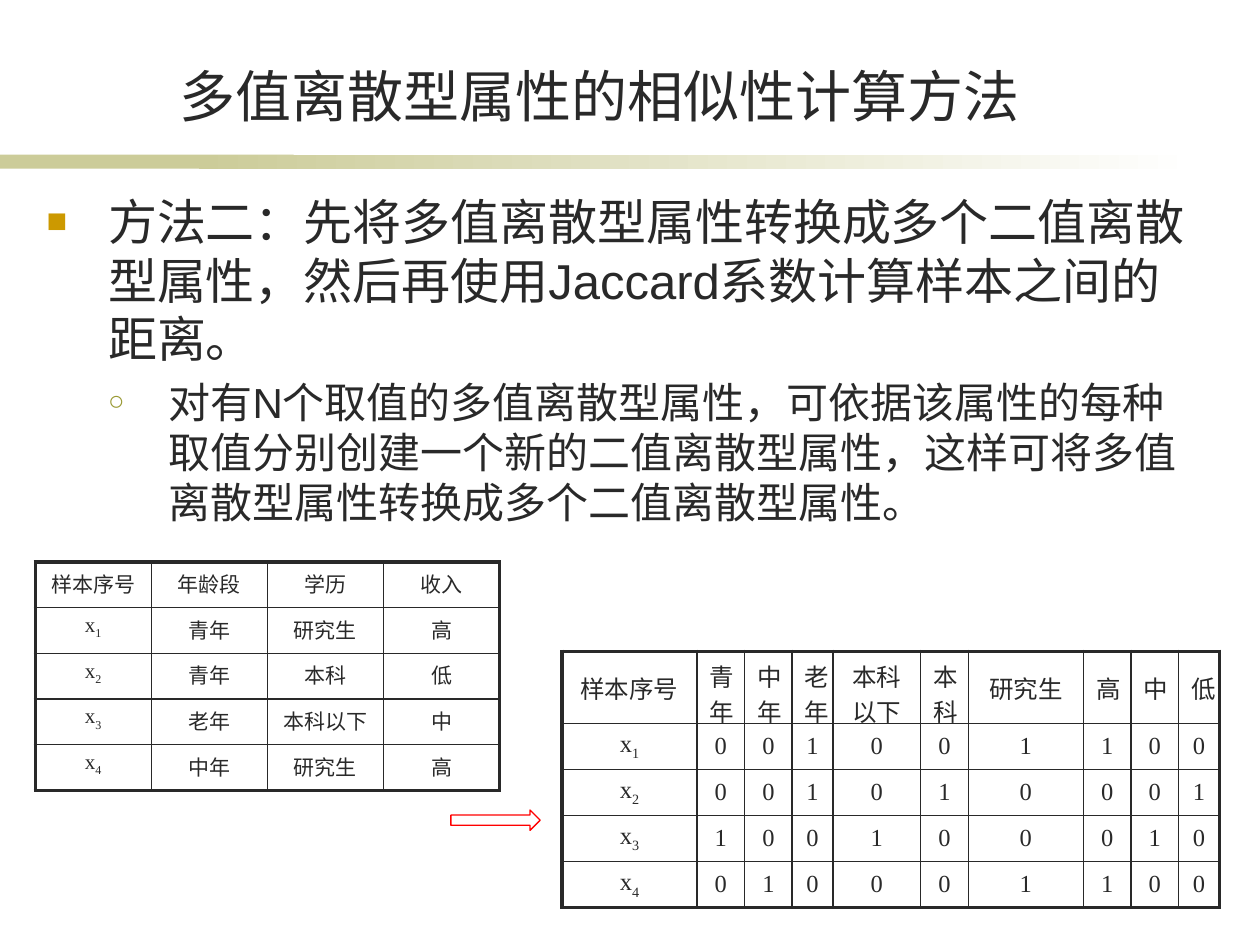
from lxml import etree
from pptx import Presentation
from pptx.dml.color import RGBColor
from pptx.enum.shapes import MSO_SHAPE
from pptx.enum.text import MSO_ANCHOR, PP_ALIGN
from pptx.oxml.ns import qn
from pptx.util import Cm, Pt

RECTANGLE, RIGHT_ARROW = MSO_SHAPE.RECTANGLE, MSO_SHAPE.RIGHT_ARROW
CENTER = PP_ALIGN.CENTER
TOP, MIDDLE, BOTTOM = MSO_ANCHOR.TOP, MSO_ANCHOR.MIDDLE, MSO_ANCHOR.BOTTOM

INK = RGBColor(0x29, 0x29, 0x29)
WHITE = RGBColor(0xFF, 0xFF, 0xFF)
RED = RGBColor(0xFF, 0x00, 0x00)
SAGE = RGBColor(0xCC, 0xCC, 0x99)
GOLD = RGBColor(0xCC, 0x99, 0x00)
OLIVE = RGBColor(0x99, 0x99, 0x33)

SERIF, SANS = "Times New Roman", "Arial"
OUTER_BORDER, INNER_BORDER = Pt(2.25), Pt(1)

TITLE = "多值离散型属性的相似性计算方法"
METHOD = ("方法二：先将多值离散型属性转换成多个二值离散型属性，"
          "然后再使用Jaccard系数计算样本之间的距离。")
EXPLANATION = ("对有N个取值的多值离散型属性，可依据该属性的每种取值分别创建一个"
               "新的二值离散型属性，这样可将多值离散型属性转换成多个二值离散型属性。")

MULTI_VALUED = [
    ["样本序号", "年龄段", "学历", "收入"],
    ["x1", "青年", "研究生", "高"],
    ["x2", "青年", "本科", "低"],
    ["x3", "老年", "本科以下", "中"],
    ["x4", "中年", "研究生", "高"],
]
BINARY = [
    ["样本序号", "青年", "中年", "老年", "本科以下", "本科", "研究生", "高", "中", "低"],
    ["x1", *"001001100"],
    ["x2", *"001010001"],
    ["x3", *"100100010"],
    ["x4", *"010001100"],
]


def set_font(paragraph, name, size):
    font = paragraph.font
    font.name, font.size = name, Pt(size)
    font.color.rgb = INK


def add_divider(slide, left, top, width, height):
    """Solid band whose right part fades to white."""
    solid_width, fade_left = Cm(5.92), Cm(4.01)
    fade_width = width - fade_left
    solid = slide.shapes.add_shape(RECTANGLE, left, top, solid_width, height)
    solid.fill.solid()
    solid.fill.fore_color.rgb = SAGE
    fade = slide.shapes.add_shape(RECTANGLE, left + fade_left, top, fade_width, height)
    fade.fill.gradient()
    fade.fill.gradient_angle = 0
    for stop, position, color in zip(fade.fill.gradient_stops, (0, 1), (SAGE, WHITE)):
        stop.position, stop.color.rgb = position, color
    for band in (solid, fade):
        band.line.fill.background()
        band.shadow.inherit = False


def add_title(slide, left, top, width, height):
    frame = slide.shapes.add_textbox(left, top, width, height).text_frame
    frame.word_wrap = True
    frame.vertical_anchor = BOTTOM
    title = frame.paragraphs[0]
    title.text, title.alignment = TITLE, CENTER
    set_font(title, SERIF, 32)


def add_bullet(paragraph, mark, color, percent, margin, hanging):
    properties = paragraph._p.get_or_add_pPr()
    properties.set("marL", str(margin))
    properties.set("indent", str(-hanging))
    bullet_color = etree.SubElement(properties, qn("a:buClr"))
    etree.SubElement(bullet_color, qn("a:srgbClr"), val=str(color))
    etree.SubElement(properties, qn("a:buSzPct"), val=str(percent * 1000))
    etree.SubElement(properties, qn("a:buFont"), typeface=SANS)
    etree.SubElement(properties, qn("a:buChar"), char=mark)


def add_body(slide, left, top, width, height):
    frame = slide.shapes.add_textbox(left, top, width, height).text_frame
    frame.word_wrap = True
    method, explanation = frame.paragraphs[0], frame.add_paragraph()
    method.text, explanation.text = METHOD, EXPLANATION
    explanation.level = 1
    method.space_before, explanation.space_before = Pt(5.6), Pt(4.8)
    add_bullet(method, "■", GOLD, 70, Cm(1.24), Cm(1.24))
    add_bullet(explanation, "○", OLIVE, 65, Cm(2.46), Cm(1.22))
    set_font(method, SANS, 28)
    set_font(explanation, SANS, 24)


def write_cell(cell, text, size, anchor):
    """Writes the text; the number of a sample such as x1 becomes a subscript."""
    cell.vertical_anchor = anchor
    paragraph = cell.text_frame.paragraphs[0]
    paragraph.alignment = CENTER
    paragraph.space_before = Pt(size * 0.2)
    set_font(paragraph, SERIF, size)
    if text.startswith("x"):
        paragraph.add_run().text = "x"
        number = paragraph.add_run()
        number.text = text[1:]
        number._r.get_or_add_rPr().set("baseline", "-25000")
    else:
        paragraph.add_run().text = text


def set_borders(cell, outer_sides):
    """Draws all four sides; outer_sides maps each side to whether it is on the edge."""
    properties = cell._tc.get_or_add_tcPr()
    for side, is_outer in outer_sides.items():
        width = OUTER_BORDER if is_outer else INNER_BORDER
        line = etree.SubElement(properties, qn(f"a:ln{side}"), w=str(width))
        fill = etree.SubElement(line, qn("a:solidFill"))
        etree.SubElement(fill, qn("a:srgbClr"), val=str(INK))


def add_data_table(slide, left, top, rows, column_widths, row_heights, size, anchor):
    table = slide.shapes.add_table(len(rows), len(column_widths), left, top,
                                   sum(column_widths), sum(row_heights)).table
    table.first_row = table.horz_banding = False
    for column, width in zip(table.columns, column_widths):
        column.width = width
    last_row, last_column = len(rows) - 1, len(column_widths) - 1
    for r, (row, height) in enumerate(zip(rows, row_heights)):
        table.rows[r].height = height
        for c, text in enumerate(row):
            cell = table.cell(r, c)
            write_cell(cell, text, size, anchor)
            set_borders(cell, {"L": c == 0, "R": c == last_column,
                               "T": r == 0, "B": r == last_row})
            cell.fill.background()


def add_conversion_arrow(slide, left, top, width, height):
    arrow = slide.shapes.add_shape(RIGHT_ARROW, left, top, width, height)
    arrow.shadow.inherit = False
    arrow.fill.solid()
    arrow.fill.fore_color.rgb = WHITE
    arrow.line.color.rgb = RED
    arrow.line.width = Pt(0.75)


def main():
    presentation = Presentation()
    presentation.slide_width, presentation.slide_height = Cm(25.4), Cm(19.05)
    slide = presentation.slides.add_slide(presentation.slide_layouts[6])
    add_divider(slide, Cm(0), Cm(3.12), Cm(24.13), Cm(0.28))
    add_title(slide, Cm(2.9), Cm(1.12), Cm(18.39), Cm(1.6))
    add_body(slide, Cm(0.69), Cm(3.73), Cm(23.8), Cm(13))
    add_data_table(slide, Cm(0.71), Cm(11.33), MULTI_VALUED,
                   [Cm(2.34)] * 4, [Cm(0.92)] * 5, 12, TOP)
    binary_widths = [2.72, 0.96, 0.96, 0.82, 1.77, 0.96, 2.32, 0.96, 0.96, 0.82]
    add_data_table(slide, Cm(11.33), Cm(13.13), BINARY,
                   [Cm(width) for width in binary_widths],
                   [Cm(1.45)] + [Cm(0.9)] * 4, 14, MIDDLE)
    add_conversion_arrow(slide, Cm(9.09), Cm(16.33), Cm(1.8), Cm(0.41))
    presentation.save("out.pptx")


if __name__ == "__main__":
    main()
